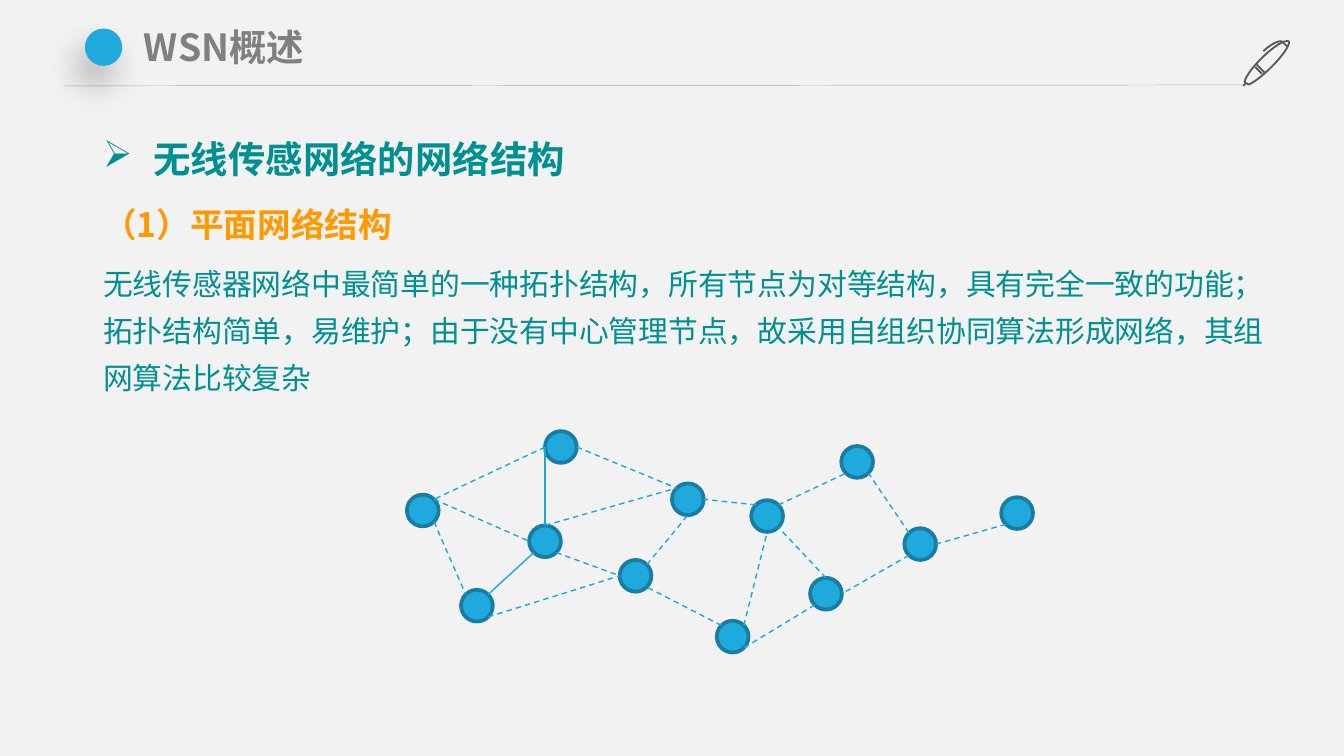
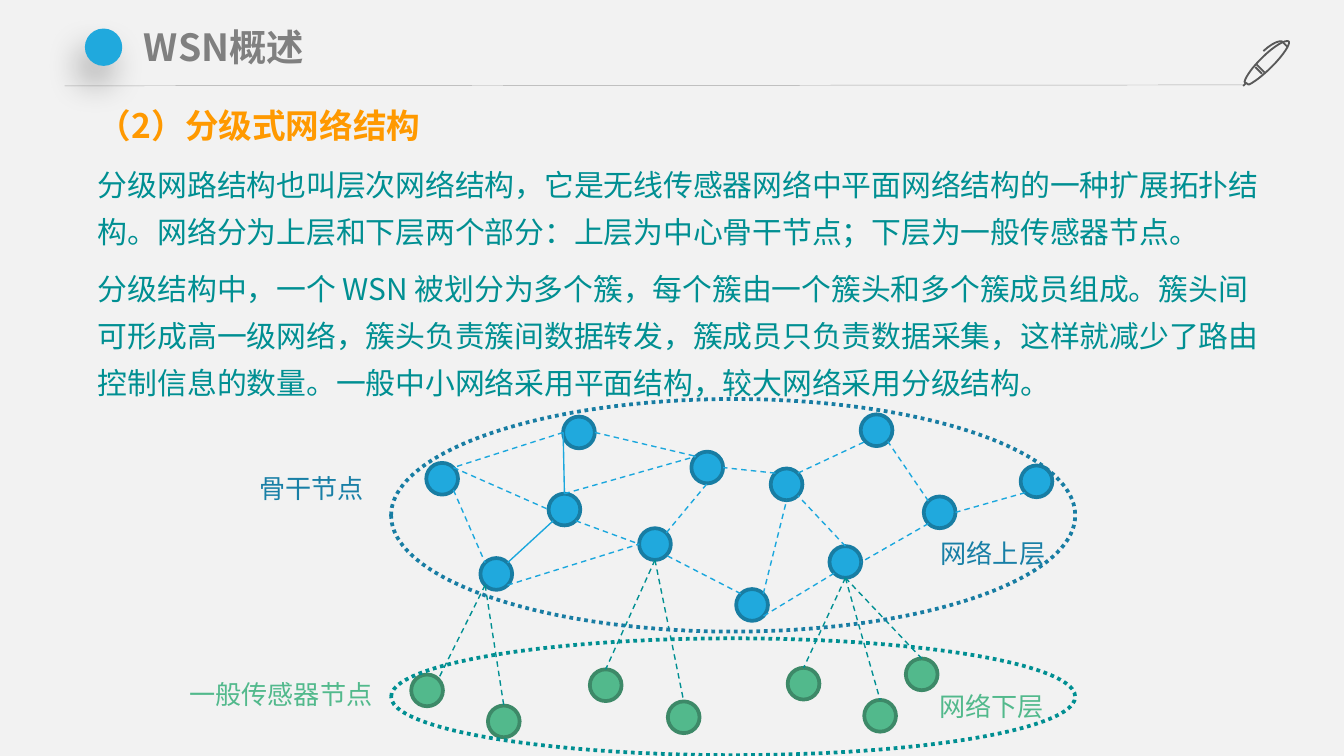
from math import cos, radians, sin

from lxml import etree
from pptx import Presentation
from pptx.dml.color import RGBColor
from pptx.enum.dml import MSO_LINE
from pptx.enum.shapes import MSO_CONNECTOR, MSO_SHAPE
from pptx.enum.text import MSO_ANCHOR, MSO_AUTO_SIZE, PP_ALIGN
from pptx.oxml.ns import qn
from pptx.util import Pt

OVAL = MSO_SHAPE.OVAL
STRAIGHT = MSO_CONNECTOR.STRAIGHT
DASH = MSO_LINE.DASH
DOTS = MSO_LINE.ROUND_DOT
TOP = MSO_ANCHOR.TOP
LEFT = PP_ALIGN.LEFT
FIXED = MSO_AUTO_SIZE.NONE

SANS = "Noto Sans CJK SC"
SERIF = "Times New Roman"
COLORS = {
    "back": "F2F2F2", "blue": "20A9DD", "navy": "187DA3", "link": "1BA7DD",
    "green": "52B98C", "moss": "3D8968", "teal": "008F92", "gold": "FF9900",
    "gray": "808080", "rule": "A6A6A6", "ink": "595959", "label": "187FA6",
}
FORMS = {
    "title": {"size": Pt(20), "bold": True, "name": SANS},
    "head": {"size": Pt(20), "bold": True, "name": SERIF},
    "part": {"size": Pt(18), "bold": True, "name": SANS},
    "body": {"size": Pt(16), "bold": False, "name": SANS},
    "label": {"size": Pt(14), "name": SANS},
}
TINTS = {"title": "gray", "head": "teal", "part": "gold", "body": "teal"}

SIZE = 17
MESH = {
    "A": (292, 231), "B": (218, 265), "C": (283.5, 281.5), "D": (247, 316),
    "E": (360, 259), "F": (450.7, 239), "G": (402.5, 268), "H": (332, 300),
    "I": (384, 332.6), "J": (434, 309.6), "K": (484.5, 283), "L": (536.4, 266.4),
}
SENSORS = {
    "M": (220.3, 361.4), "N": (261.4, 378), "O": (316, 358.6), "P": (357.8, 375.8),
    "Q": (422, 357.8), "R": (463, 375), "S": (485.3, 352.8),
}
LINKS = ("A2B7 A6E1 C0E1 B7C2 B5D1 C5H2 D5H2 H7E4 G1E6 I1H5 I7G4 "
         "J0G5 J3I5 K3J6 L3K6 K1F5 G7F3").split()
SOLID = "A2C0 C3D7".split()
DROPS = "D3M7 D3N0 H4O0 H4P0 J4Q0 J4R0 J4S0".split()

PEN = [
    [(676.1, 39.6), [(672.5, 36)]],
    [(673.2, 34.6), [(677.5, 38.9)]],
    [(690.5, 22.3),
     [(689, 20.9), (682.6, 24.5), (676.1, 31)],
     [(671, 36), (667.4, 41), (666.7, 43.9)],
     [(668.9, 45.4)],
     [(671, 44.6), (676.1, 41), (681.1, 36)],
     [(687.6, 29.5), (691.2, 23.8), (690.5, 22.3)]],
    [(667.4, 44.6), [(666, 46.1)]],
    [(689.8, 25.2),
     [(689.8, 25.2), (688.3, 23.8), (686.9, 22.3)],
     [(686.9, 22.3), (684, 20.9), (676.8, 27.4)]],
]


def rgb(name):
    """Return the named colour."""
    return RGBColor.from_string(COLORS[name])


def apply(item, values):
    """Set each attribute of item from a dict."""
    for key, value in values.items():
        setattr(item, key, value)


def child(parent, tag, **attrs):
    """Append an XML child with the given attributes."""
    node = etree.SubElement(parent, qn(tag))
    for key, value in attrs.items():
        node.set(key, str(value))
    return node


def box(*lengths):
    """Turn lengths in points into EMU."""
    return [Pt(n) for n in lengths]


def write(para, text, kind, tint):
    """Add one styled run to a paragraph."""
    run = para.add_run()
    run.text = text
    apply(run.font, FORMS[kind])
    run.font.color.rgb = rgb(tint)
    latin = run.font._element.find(qn("a:latin"))
    east = etree.Element(qn("a:ea"), typeface=SANS)
    latin.addnext(east)


def stroke(line, tint, width, dash=None):
    """Style a line."""
    line.color.rgb = rgb(tint)
    apply(line, {"width": Pt(width), "dash_style": dash})


def oval(slide, place, fill=None, edge=None, dash=None):
    """Draw an ellipse with an optional fill and edge."""
    shape = slide.shapes.add_shape(OVAL, *box(*place))
    shape.shadow.inherit = False
    if fill:
        shape.fill.solid()
        shape.fill.fore_color.rgb = rgb(fill)
    else:
        shape.fill.background()
    if edge:
        stroke(shape.line, edge, 2, dash)
    else:
        shape.line.fill.background()
    return shape


def join(slide, start, end, tint, width=0.75, dash=None):
    """Draw a straight line between two points."""
    line = slide.shapes.add_connector(STRAIGHT, *box(*start, *end))
    stroke(line.line, tint, width, dash)
    child(line.element.spPr, "a:effectLst")
    return line


def site(nodes, key, index):
    """Find a joint of a node, counted from the top to the left."""
    x, y = nodes[key]
    turn = radians(90 + 45 * int(index))
    half = SIZE / 2
    return x + half + half * cos(turn), y + half - half * sin(turn)


def web(slide, nodes, links, tint, dash=None):
    """Link nodes by codes of node, joint, node, joint."""
    for a, i, b, j in links:
        join(slide, site(nodes, a, i), site(nodes, b, j), tint, dash=dash)


def dots(slide, nodes, fill, edge):
    """Draw one round node at each place."""
    for x, y in nodes.values():
        oval(slide, (x, y, SIZE, SIZE), fill, edge)


def mesh(slide, nodes):
    """Draw the linked blue nodes."""
    dots(slide, nodes, "blue", "navy")
    web(slide, nodes, LINKS, "link", DASH)
    web(slide, nodes, SOLID, "link")


def trace(start, parts, steps=8):
    """Yield the points along lines and cubic curves."""
    last = start
    for part in parts:
        if len(part) == 1:
            yield box(*part[0])
        else:
            for n in range(1, steps + 1):
                t = n / steps
                u = 1 - t
                rates = (u**3, 3 * u * u * t, 3 * u * t * t, t**3)
                yield [Pt(sum(r * p[k] for r, p in zip(rates, (last, *part))))
                       for k in (0, 1)]
        last = part[-1]


def pen(slide):
    """Draw the pen icon."""
    form = slide.shapes.build_freeform(*box(*PEN[0][0]))
    for n, (start, *parts) in enumerate(PEN):
        if n:
            form.move_to(*box(*start))
        form.add_line_segments(list(trace(start, parts)), close=False)
    shape = form.convert_to_shape()
    shape.shadow.inherit = False
    shape.fill.background()
    stroke(shape.line, "ink", 1)
    return shape


def badge(slide):
    """Draw the title dot with its soft shadow."""
    shape = oval(slide, (45.5, 15.3, 20, 20), "blue")
    glow = child(shape.element.spPr.find(qn("a:effectLst")), "a:outerShdw",
                 blurRad=Pt(18), dist=Pt(11), dir=113 * 60000,
                 algn="ctr", rotWithShape=0)
    child(child(glow, "a:srgbClr", val="000000"), "a:alpha", val=27000)
    return shape


def frame(slide, layout):
    """Draw the header parts and move them to the layout."""
    rule = join(slide, (34.6, 46), (666, 45.5), "rule", 0.25)
    for part in (rule, pen(slide), badge(slide)):
        layout.shapes.element.append(part.element)


def title(slide, text):
    """Place and fill the title."""
    shape = slide.shapes.title
    places = box(70.6, 10, 595.4, 31)
    apply(shape, dict(zip(("left", "top", "width", "height"), places)))
    text_frame = shape.text_frame
    apply(text_frame, {
        "margin_left": Pt(6.5), "margin_right": Pt(6.5), "margin_top": Pt(3),
        "margin_bottom": Pt(3), "vertical_anchor": TOP, "auto_size": FIXED,
        "word_wrap": True,
    })
    para = text_frame.paragraphs[0]
    para.alignment = LEFT
    write(para, text, "title", TINTS["title"])


def prose(slide, place, rows):
    """Add a text box of styled paragraphs."""
    text_frame = slide.shapes.add_textbox(*box(*place)).text_frame
    text_frame.word_wrap = True
    for n, (kind, text) in enumerate(rows):
        para = text_frame.add_paragraph() if n else text_frame.paragraphs[0]
        if kind == "head":
            props = para._p.get_or_add_pPr()
            apply_indent = {"marL": Pt(27), "indent": -Pt(27)}
            for key, value in apply_indent.items():
                props.set(key, str(value))
            child(props, "a:buChar", char="➢")
        apply(para, {"line_spacing": 1.3, "space_before": Pt(3 if n else 0),
                     "space_after": Pt(3)})
        write(para, text, kind, TINTS[kind])


def label(slide, place, text, tint):
    """Add a one-line label."""
    text_frame = slide.shapes.add_textbox(*box(*place, 24.5)).text_frame
    text_frame.word_wrap = False
    write(text_frame.paragraphs[0], text, "label", tint)


def flat(slide):
    """Build the flat network slide."""
    prose(slide, (48.2, 62, 646.6, 153.4), [
        ("head", "无线传感网络的网络结构"),
        ("part", "（1）平面网络结构"),
        ("body", "无线传感器网络中最简单的一种拓扑结构，所有节点为对等结构，具有完全一致的功能；"
                 "拓扑结构简单，易维护；由于没有中心管理节点，故采用自组织协同算法形成网络，"
                 "其组网算法比较复杂"),
    ])
    title(slide, "WSN概述")
    mesh(slide, MESH)


def tiers(slide):
    """Build the layered network slide."""
    prose(slide, (45.4, 46, 646.6, 172), [
        ("part", "（2）分级式网络结构"),
        ("body", "分级网路结构也叫层次网络结构，它是无线传感器网络中平面网络结构的一种扩展拓扑结构。"
                 "网络分为上层和下层两个部分：上层为中心骨干节点；下层为一般传感器节点。"),
        ("body", "分级结构中，一个 WSN 被划分为多个簇，每个簇由一个簇头和多个簇成员组成。"
                 "簇头间可形成高一级网络，簇头负责簇间数据转发，簇成员只负责数据采集，"
                 "这样就减少了路由控制信息的数量。一般中小网络采用平面结构，较大网络采用分级结构。"),
    ])
    title(slide, "WSN概述")
    nodes = {key: (x + 10.4, y - 17) for key, (x, y) in MESH.items()}
    nodes["A"] = (301.7, 223.2)
    mesh(slide, nodes)
    dots(slide, SENSORS, "green", "moss")
    web(slide, nodes | SENSORS, DROPS, "teal", DASH)
    oval(slide, (209.5, 213.8, 366.5, 124.6), edge="navy", dash=DOTS)
    oval(slide, (209.5, 342, 366.5, 62.6), edge="teal", dash=DOTS)
    label(slide, (131.8, 249.8, 71), "骨干节点", "label")
    label(slide, (94.3, 360, 113.8), "一般传感器节点", "green")
    label(slide, (496.8, 284.4, 71), "网络上层", "label")
    label(slide, (496.1, 366.5, 71), "网络下层", "green")


def main():
    """Build and save the slides."""
    deck = Presentation()
    apply(deck, {"slide_width": Pt(720), "slide_height": Pt(405)})
    back = deck.slide_master.background.fill
    back.solid()
    back.fore_color.rgb = rgb("back")
    layout = deck.slide_layouts[5]
    first, second = [deck.slides.add_slide(layout) for _ in range(2)]
    frame(first, layout)
    flat(first)
    tiers(second)
    deck.save("out.pptx")


if __name__ == "__main__":
    main()
